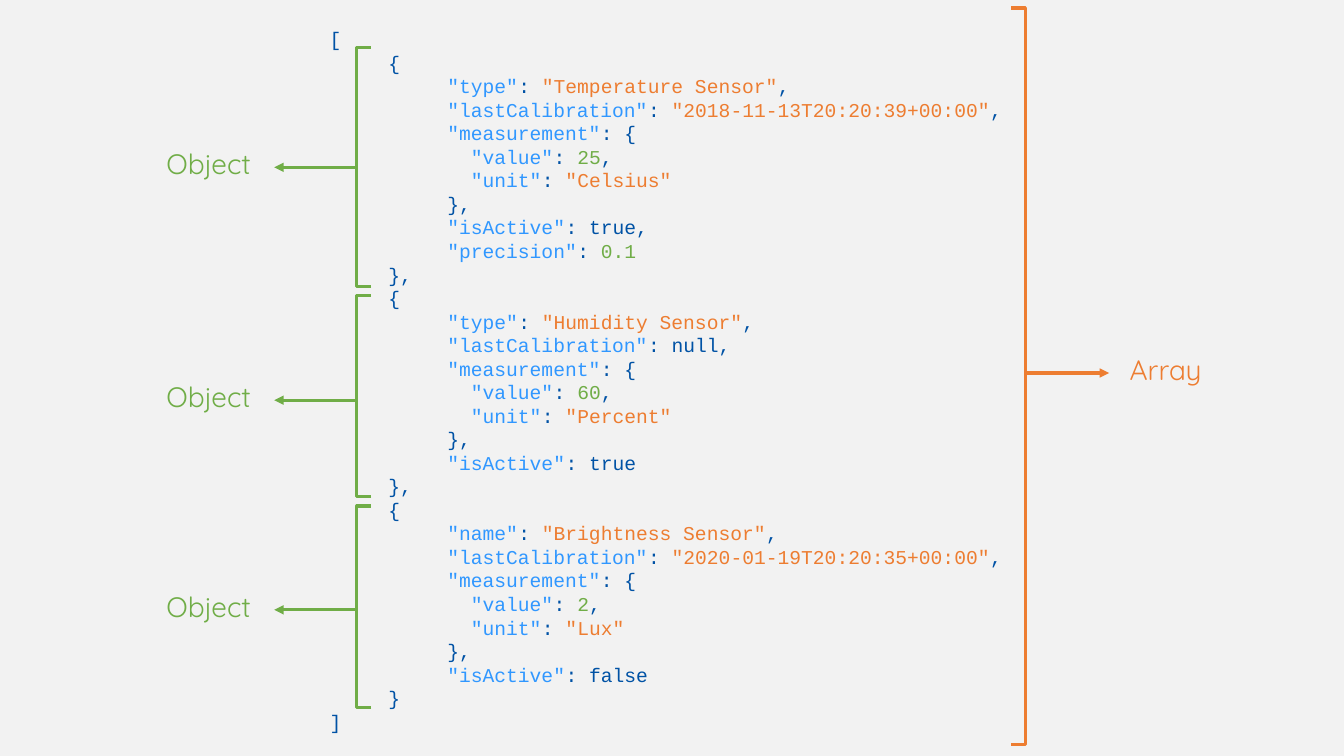
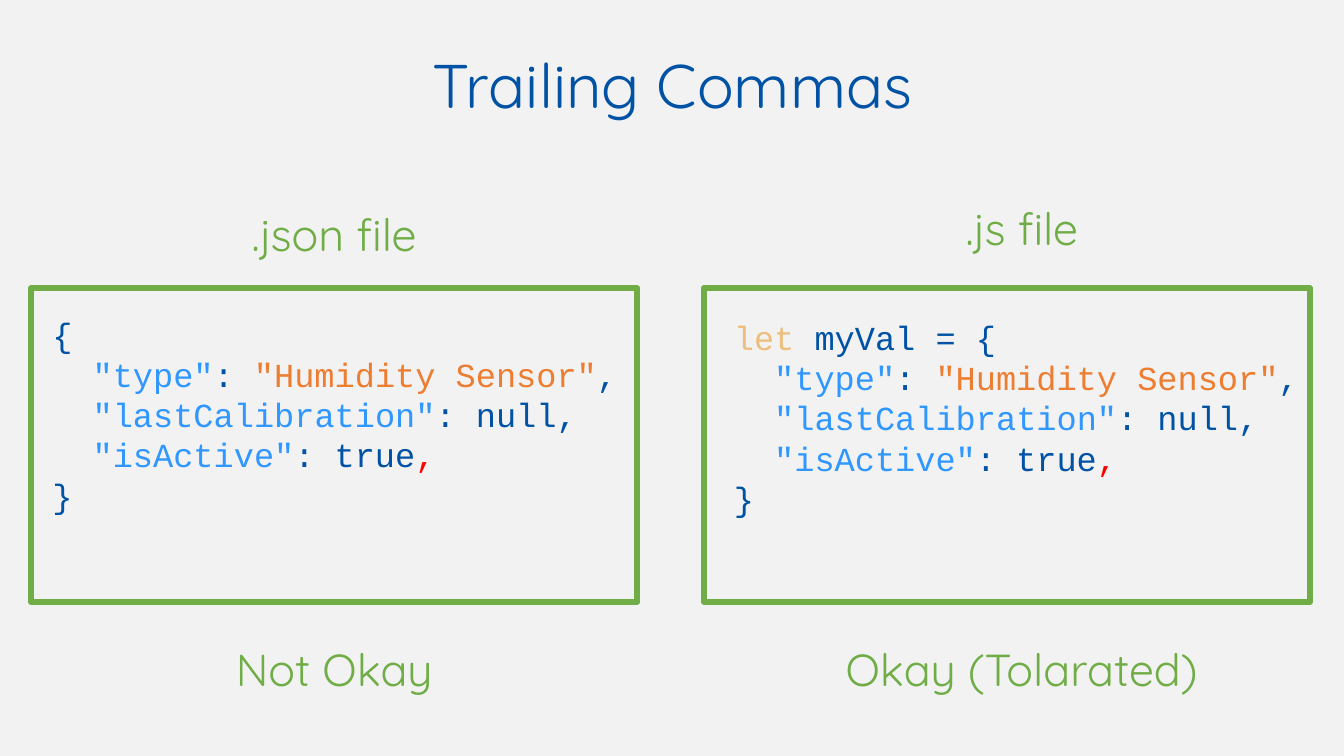
from lxml import etree
from pptx import Presentation
from pptx.dml.color import RGBColor
from pptx.enum.shapes import MSO_CONNECTOR, MSO_SHAPE
from pptx.enum.text import MSO_ANCHOR, PP_ALIGN
from pptx.oxml.ns import qn
from pptx.util import Inches, Pt

STRAIGHT = MSO_CONNECTOR.STRAIGHT
LEFT_BRACKET, RIGHT_BRACKET = MSO_SHAPE.LEFT_BRACKET, MSO_SHAPE.RIGHT_BRACKET
RECTANGLE = MSO_SHAPE.RECTANGLE
LEFT, CENTER = PP_ALIGN.LEFT, PP_ALIGN.CENTER
TOP, MIDDLE = MSO_ANCHOR.TOP, MSO_ANCHOR.MIDDLE

BACKGROUND, NAVY, BLUE = "F2F2F2", "0052A5", "3097FF"
GREEN, ORANGE, RED, SAND = "70AD47", "ED7D31", "FF0000", "ECBF7C"
CODE_FONT, LABEL_FONT = "Courier New", "Quicksand"
SLIDE_WIDTH, SLIDE_HEIGHT = 13.33, 7.5


def rgb(color):
    """Turn a hex string into a colour."""
    return RGBColor.from_string(color)


def add_slide(presentation):
    """Add a blank slide with the shared background."""
    slide = presentation.slides.add_slide(presentation.slide_layouts[6])
    slide.background.fill.solid()
    slide.background.fill.fore_color.rgb = rgb(BACKGROUND)
    return slide


def add_text(slide, box, lines, font, size, align=LEFT, anchor=TOP):
    """Write lines, each a list of (text, colour) runs, into a box."""
    frame = slide.shapes.add_textbox(*map(Inches, box)).text_frame
    frame.word_wrap = True
    frame.vertical_anchor = anchor
    for index, line in enumerate(lines):
        paragraph = frame.add_paragraph() if index else frame.paragraphs[0]
        paragraph.alignment = align
        for text, color in line:
            run = paragraph.add_run()
            run.text = text
            run.font.name = font
            run.font.size = Pt(size)
            run.font.color.rgb = rgb(color)


def add_label(slide, box, text, size, color):
    """Write one centred line in the label font."""
    add_text(slide, box, [[(text, color)]], LABEL_FONT, size, CENTER, MIDDLE)


def add_outline(slide, kind, box, color, width):
    """Draw an unfilled shape."""
    shape = slide.shapes.add_shape(kind, *map(Inches, box))
    shape.shadow.inherit = False
    shape.fill.background()
    shape.line.color.rgb = rgb(color)
    shape.line.width = Pt(width)
    return shape


def add_arrow(slide, start, end, y, color):
    """Draw a horizontal arrow from start to end."""
    points = map(Inches, (start, y, end, y))
    connector = slide.shapes.add_connector(STRAIGHT, *points)
    connector.line.color.rgb = rgb(color)
    connector.line.width = Pt(2.25)
    properties = connector._element.spPr
    line = properties.find(qn("a:ln"))
    etree.SubElement(line, qn("a:tailEnd"), type="triangle")
    etree.SubElement(properties, qn("a:effectLst"))


def add_callout(slide, kind, bracket, arrow, y, label_left, text, color):
    """Draw a bracket with an arrow leading to its label."""
    add_outline(slide, kind, bracket, color, 2.25).adjustments[0] = 0
    add_arrow(slide, *arrow, y, color)
    add_label(slide, (label_left, y - 0.26, 1.58, 0.44), text, 20, color)


def plain(text, indent=0):
    """Return a code line in the base colour."""
    return [(" " * indent + text, NAVY)]


def field(indent, key, value, end=",", end_color=NAVY):
    """Return a code line with a key, a value and its ending."""
    color = NAVY
    if value.startswith('"'):
        color = ORANGE
    elif value[0].isdigit():
        color = GREEN
    runs = [(" " * indent + f'"{key}"', BLUE), (": ", NAVY), (value, color)]
    return runs + [(end, end_color)] if end else runs


def sensor(title, calibration, value, unit, extras, end=","):
    """Return the code lines of one sensor object."""
    last = len(extras) - 1
    return [
        plain("{", 5),
        field(10, *title),
        field(10, "lastCalibration", calibration),
        field(10, "measurement", "{", ""),
        field(12, "value", value),
        field(12, "unit", unit, ""),
        plain("},", 10),
        *[field(10, key, extra, "," if index < last else "")
          for index, (key, extra) in enumerate(extras)],
        plain("}" + end, 5),
    ]


def build_array_slide(presentation):
    """Build the annotated array of sensor objects."""
    slide = add_slide(presentation)
    lines = [
        plain("["),
        *sensor(("type", '"Temperature Sensor"'), '"2018-11-13T20:20:39+00:00"',
                "25", '"Celsius"', [("isActive", "true"), ("precision", "0.1")]),
        *sensor(("type", '"Humidity Sensor"'), "null",
                "60", '"Percent"', [("isActive", "true")]),
        *sensor(("name", '"Brightness Sensor"'), '"2020-01-19T20:20:35+00:00"',
                "2", '"Lux"', [("isActive", "false")], ""),
        plain("]"),
    ]
    add_text(slide, (3.17, 0.22, 8.09, 7.17), lines, CODE_FONT, 14)
    for top, height, y in ((0.47, 2.37, 1.66), (2.93, 2, 3.97), (5.02, 2, 6.05)):
        add_callout(slide, LEFT_BRACKET, (3.54, top, 0.14, height),
                    (3.54, 2.72), y, 1.28, "Object", GREEN)
    add_callout(slide, RIGHT_BRACKET, (10.03, 0.08, 0.14, 7.31),
                (10.19, 11), 3.7, 10.77, "Array", ORANGE)


def add_panel(slide, box, inset, opening, heading, verdict):
    """Draw a framed code sample with a heading above and a verdict below."""
    left, top, width, height = box
    add_outline(slide, RECTANGLE, box, GREEN, 4.5)
    for text, shift, y in (heading, verdict):
        add_label(slide, (left + shift, top + y, width, 0.64), text, 32, GREEN)
    lines = [
        opening,
        field(2, "type", '"Humidity Sensor"'),
        field(2, "lastCalibration", "null"),
        field(2, "isActive", "true", ",", RED),
        plain("}"),
    ]
    code_box = (left + inset[0], top + inset[1], 5.91, 2.12)
    add_text(slide, code_box, lines, CODE_FONT, 24)


def build_commas_slide(presentation):
    """Build the comparison of trailing commas."""
    slide = add_slide(presentation)
    add_label(slide, (0.92, 0.4, 11.5, 0.86), "Trailing Commas", 44, NAVY)
    add_panel(slide, (0.31, 2.86, 6.01, 3.11), (0.11, 0.2), plain("{"),
              (".json file", 0, -0.86), ("Not Okay", 0, 3.45))
    add_panel(slide, (6.98, 2.86, 6.01, 3.11), (0.2, 0.23),
              [("let", SAND), (" myVal = {", NAVY)],
              (".js file", 0.15, -0.92), ("Okay (Tolarated)", 0.15, 3.45))


def main():
    """Build and save the presentation."""
    presentation = Presentation()
    presentation.slide_width = Inches(SLIDE_WIDTH)
    presentation.slide_height = Inches(SLIDE_HEIGHT)
    build_array_slide(presentation)
    build_commas_slide(presentation)
    presentation.save("out.pptx")


if __name__ == "__main__":
    main()
